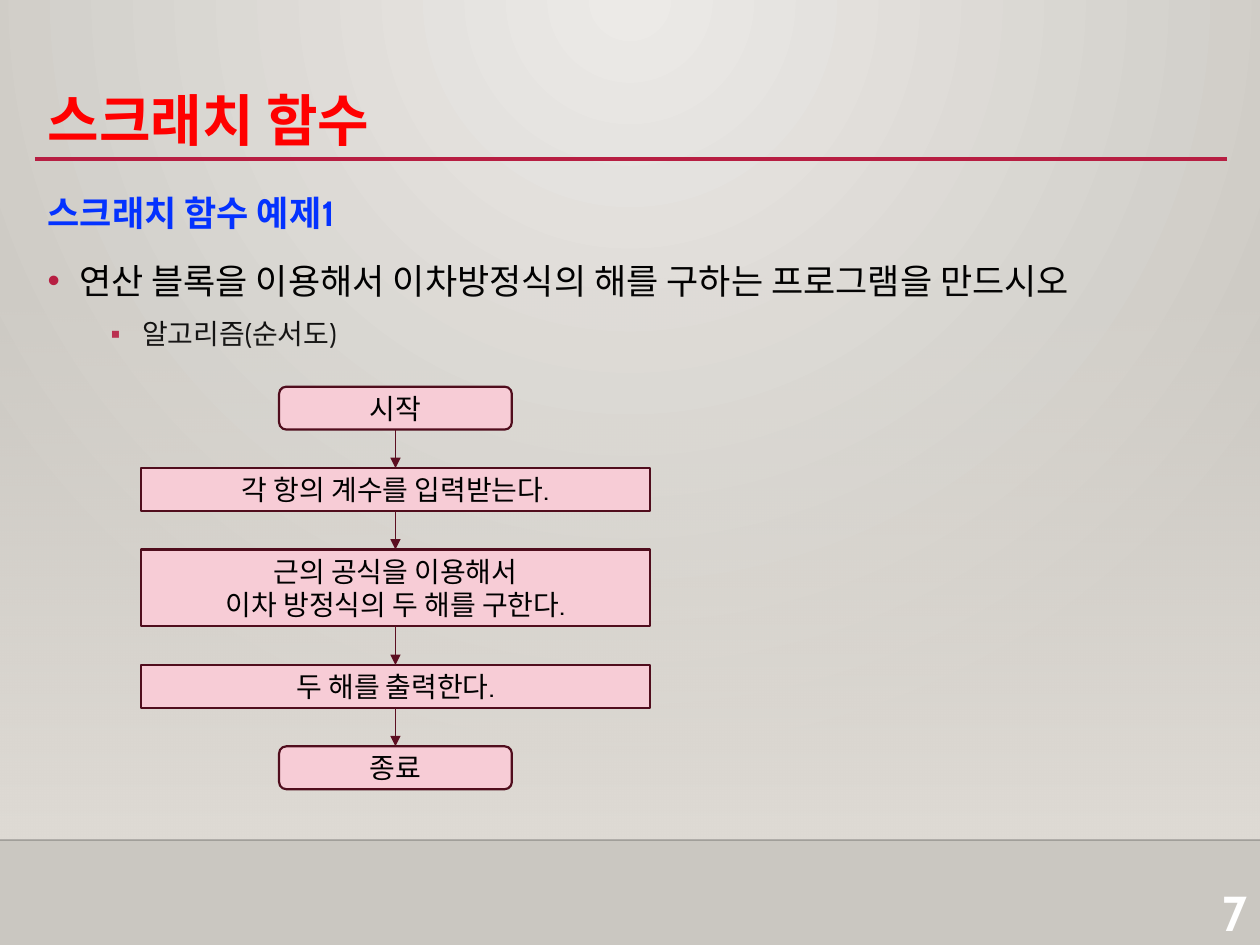
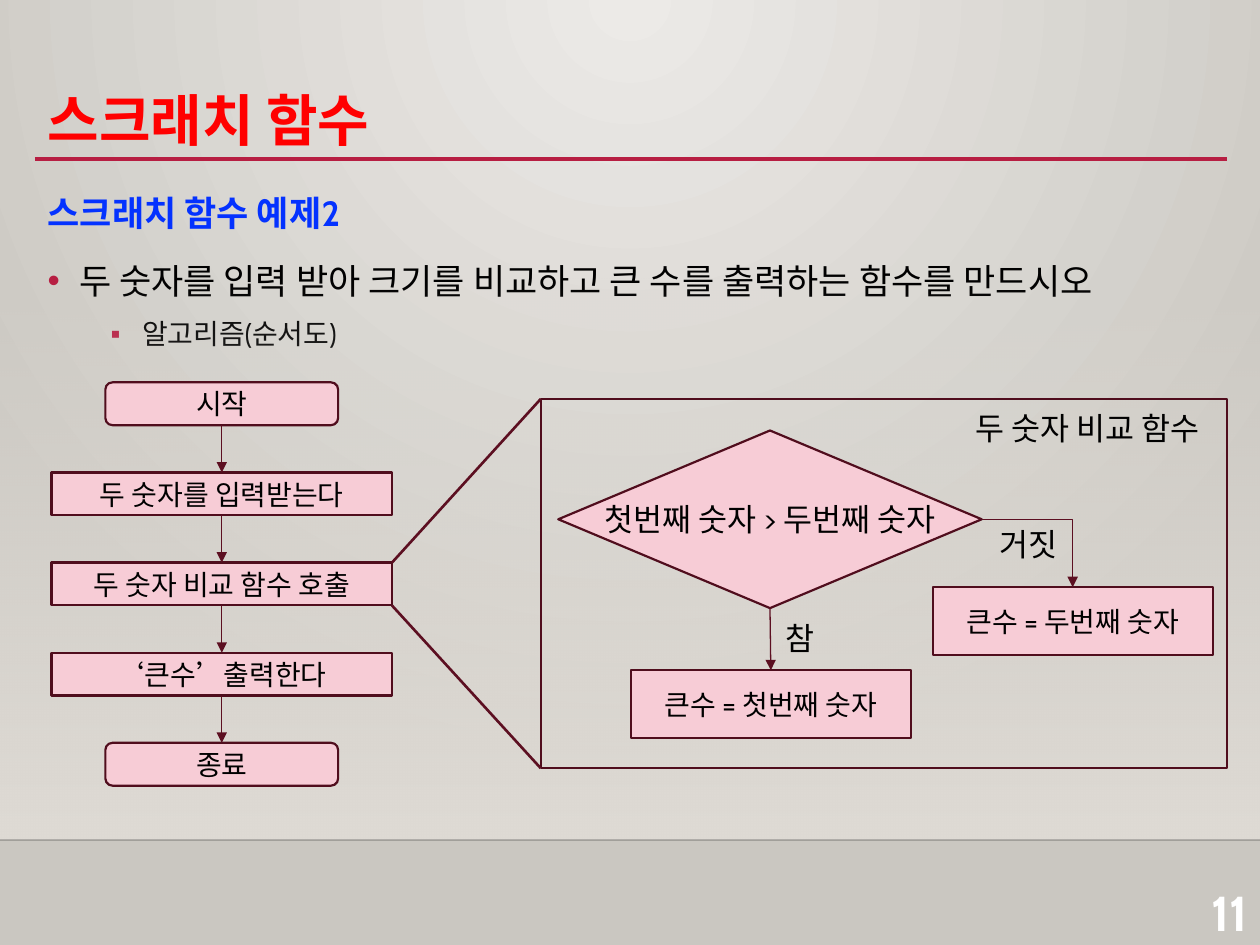
from dataclasses import dataclass

from lxml import etree
from pptx import Presentation
from pptx.dml.color import RGBColor
from pptx.enum import shapes, text
from pptx.oxml import ns
from pptx.util import Pt


@dataclass(frozen=True)
class Theme:
    font: str = "Cabin"
    glow: str = "ECEAE7"
    edge: str = "CAC7C1"
    band: str = "DFDBD5"
    seam: str = "000001"
    accent: str = "B71E42"
    title: str = "FF0000"
    head: str = "0432FF"
    ink: str = "000000"
    page: str = "FFFFFF"
    fill: str = "F7CCD6"
    border: str = "500D1D"
    arrow: str = "5C0F21"
    title_size: float = 32
    page_size: float = 28
    body_size: float = 20
    label_size: float = 18
    step_size: float = 16


T = Theme()
WIDTH, HEIGHT = 720, 540
MARGIN, INNER = 20, 681
RULE_Y, SEAM_Y = 90.7, 480
STEP_H, PAIR_H, END_W = 24.5, 44, 133
KIND = shapes.MSO_SHAPE
ALIGN = text.PP_ALIGN


def rgb(code):
    return RGBColor.from_string(code)


def add(parent, tag, **attrs):
    return etree.SubElement(parent, ns.qn(tag), attrs)


def fade(part, alpha):
    """Give the first colour inside an element an opacity in percent."""
    color = next(part.iter(ns.qn("a:srgbClr")))
    add(color, "a:alpha", val=str(alpha * 1000))


def blend(fill, first, last):
    fill.gradient()
    for stop, code in zip(fill.gradient_stops, (first, last)):
        stop.color.rgb = rgb(code)


def style(para, size, color, bold=False):
    for run in para.runs:
        run.font.name = T.font
        run.font.size = Pt(size)
        run.font.bold = bold
        run.font.color.rgb = rgb(color)


def place(shape, left, top, width, height):
    shape.left, shape.top = Pt(left), Pt(top)
    shape.width, shape.height = Pt(width), Pt(height)


def link(slide, start, end, color, weight, kind=shapes.MSO_CONNECTOR.STRAIGHT):
    line = slide.shapes.add_connector(kind, *map(Pt, start + end))
    line.line.color.rgb = rgb(color)
    line.line.width = Pt(weight)
    add(line._element.spPr, "a:effectLst")
    return line


def arrow(slide, source, side, target, bent=False):
    """Join one side of a box to the top of another."""
    kind = shapes.MSO_CONNECTOR.ELBOW if bent else shapes.MSO_CONNECTOR.STRAIGHT
    line = link(slide, (0, 0), (0, 0), T.arrow, 0.75, kind)
    line.begin_connect(source, side)
    line.end_connect(target, 0)
    if bent:
        line._element.spPr.find(ns.qn("a:prstGeom")).set("prst", "bentConnector2")
    add(line.line._get_or_add_ln(), "a:tailEnd", type="triangle")


def block(slide, kind, box, words="", size=T.step_size, filled=True):
    shape = slide.shapes.add_shape(kind, *map(Pt, box))
    shape.shadow.inherit = False
    if filled:
        shape.fill.solid()
        shape.fill.fore_color.rgb = rgb(T.fill)
    else:
        shape.fill.background()
    shape.line.color.rgb = rgb(T.border)
    shape.line.width = Pt(1.25)
    frame = shape.text_frame
    frame.text = words
    frame.vertical_anchor = text.MSO_ANCHOR.MIDDLE
    for para in frame.paragraphs:
        para.alignment = ALIGN.CENTER
        style(para, size, T.ink)
    return shape


def label(slide, box, words, size=T.label_size, color=T.ink, bold=False,
          align=ALIGN.CENTER):
    frame = slide.shapes.add_textbox(*map(Pt, box)).text_frame
    frame.word_wrap = True
    frame.text = words
    para = frame.paragraphs[0]
    para.alignment = align
    style(para, size, color, bold)


def backdrop(master):
    fill = master.background.fill
    blend(fill, T.glow, T.edge)
    grad = next(master._element.iter(ns.qn("a:gradFill")))
    grad.remove(grad.find(ns.qn("a:lin")))
    glow = add(grad, "a:path", path="circle")
    add(glow, "a:fillToRect", l="43000", t="0", r="43000", b="100000")


def chrome(slide, page):
    """Draw the band, the rules and the page number."""
    top = 158.7
    band = slide.shapes.add_shape(
        KIND.RECTANGLE, 0, Pt(top), Pt(WIDTH), Pt(SEAM_Y - top))
    band.shadow.inherit = False
    band.line.fill.background()
    blend(band.fill, T.band, T.band)
    band.fill.gradient_angle = 270
    fade(band._element.spPr, 0)
    seam = link(slide, (0, SEAM_Y), (WIDTH, SEAM_Y), T.seam, 1)
    fade(seam._element.spPr, 20)
    link(slide, (MARGIN, RULE_Y), (MARGIN + INNER, RULE_Y), T.accent, 2.5)
    label(slide, (657.5, 501, 62.5, 39.5), page, T.page_size, T.page, True,
          ALIGN.RIGHT)


def heading(slide, words):
    title = slide.shapes.title
    place(title, MARGIN, 8, INNER, RULE_Y - 8)
    frame = title.text_frame
    frame.text = words
    frame.auto_size = text.MSO_AUTO_SIZE.NONE
    frame.vertical_anchor = text.MSO_ANCHOR.BOTTOM
    para = frame.paragraphs[0]
    para.alignment = ALIGN.LEFT
    para.line_spacing = 1.5
    style(para, T.title_size, T.title, True)


def bullet(para, mark, indent):
    props = para._p.get_or_add_pPr()
    props.set("marL", str(Pt(indent)))
    props.set("indent", str(Pt(-18) if mark else 0))
    if not mark:
        add(props, "a:buNone")
        return
    add(add(props, "a:buClr"), "a:srgbClr", val=T.accent)
    add(props, "a:buFont", typeface="Arial")
    add(props, "a:buChar", char=mark)


def outline(slide, lines):
    body = slide.placeholders[1]
    place(body, MARGIN, 101, INNER, 376)
    frame = body.text_frame
    frame.text = "\n".join(lines)
    frame.auto_size = text.MSO_AUTO_SIZE.NONE
    looks = (("", 0, 0, 0, T.body_size, T.head, True),
             ("•", 0, 18, 10, T.body_size, T.ink, False),
             ("▪", 1, 54, 5, T.step_size, T.ink, False))
    for para, (mark, level, indent, gap, *face) in zip(frame.paragraphs, looks):
        para.level = level
        bullet(para, mark, indent)
        para.line_spacing = 1.2
        para.space_before = Pt(gap)
        style(para, *face)


def flow(slide, left, top, width, gap, steps):
    """Stack the steps with equal gaps; the first and last are terminals."""
    blocks = []
    for index, words in enumerate(steps):
        ends = index in (0, len(steps) - 1)
        kind = KIND.FLOWCHART_ALTERNATE_PROCESS if ends else KIND.RECTANGLE
        wide = END_W if ends else width
        high = PAIR_H if "\n" in words else STEP_H
        box = (left + (width - wide) / 2, top, wide, high)
        blocks.append(block(slide, kind, box, words))
        top += high + gap
    for source, target in zip(blocks, blocks[1:]):
        arrow(slide, source, 2, target)
    return blocks


def compare(slide, left, top, width, height):
    """Draw the framed branch of the comparing function."""
    def at(x, y, wide, high):
        return left + x, top + y, wide, high

    block(slide, KIND.RECTANGLE, at(0, 0, width, height), filled=False)
    test = block(slide, KIND.FLOWCHART_DECISION, at(10, 18, 242, 101.5),
                 "첫번째 숫자 > 두번째 숫자", T.label_size)
    test.text_frame.word_wrap = False
    true = block(slide, KIND.RECTANGLE, at(51.5, 155, 160, 39),
                 "큰수 = 첫번째 숫자")
    false = block(slide, KIND.RECTANGLE, at(224, 107.5, 160, 39),
                  "큰수 = 두번째 숫자")
    arrow(slide, test, 2, true)
    arrow(slide, test, 3, false, bent=True)
    label(slide, at(131, 122, 34, 29), "참")
    label(slide, at(249, 68.5, 59, 29), "거짓")
    label(slide, at(233, 2, 159, 29), "두 숫자 비교 함수")


def zoom(slide, call, left, top, bottom):
    """Spread lines from the right corners of a step to a frame's left side."""
    right = (call.left + call.width).pt if hasattr(call.left + call.width, "pt") \
        else (call.left + call.width) / Pt(1)
    upper = call.top / Pt(1)
    lower = upper + call.height / Pt(1)
    for start, end in ((top, upper), (bottom, lower)):
        link(slide, (left, start), (right, end), T.arrow, 1.5)


def begin(deck, page, lines):
    slide = deck.slides.add_slide(deck.slide_layouts[1])
    chrome(slide, page)
    heading(slide, "스크래치 함수")
    outline(slide, lines)
    return slide


def solve(deck):
    slide = begin(deck, "7", (
        "스크래치 함수 예제1",
        "연산 블록을 이용해서 이차방정식의 해를 구하는 프로그램을 만드시오",
        "알고리즘(순서도)"))
    flow(slide, 80.5, 221, 291, 22, (
        "시작", "각 항의 계수를 입력받는다.",
        "근의 공식을 이용해서\n이차 방정식의 두 해를 구한다.",
        "두 해를 출력한다.", "종료"))


def choose(deck):
    slide = begin(deck, "11", (
        "스크래치 함수 예제2",
        "두 숫자를 입력 받아 크기를 비교하고 큰 수를 출력하는 함수를 만드시오",
        "알고리즘(순서도)"))
    steps = flow(slide, 29.5, 218.5, 194.5, 27, (
        "시작", "두 숫자를 입력받는다", "두 숫자 비교 함수 호출",
        "‘큰수’출력한다", "종료"))
    left, top, width, height = 309, 228, 392, 211
    compare(slide, left, top, width, height)
    zoom(slide, steps[2], left, top, top + height)


def main():
    deck = Presentation()
    deck.slide_width, deck.slide_height = Pt(WIDTH), Pt(HEIGHT)
    backdrop(deck.slide_master)
    solve(deck)
    choose(deck)
    deck.save("out.pptx")


if __name__ == "__main__":
    main()
